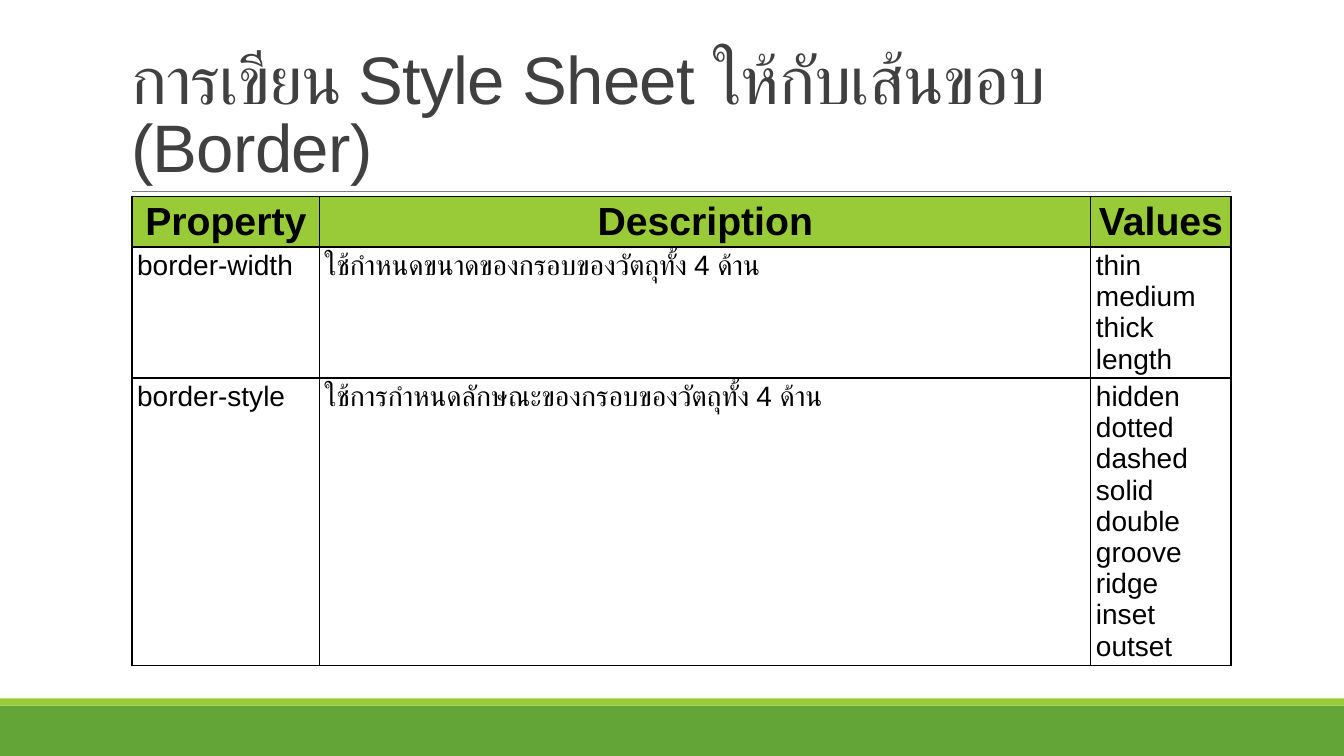
import pptx
import pptx.util
import pptx.dml.color
import pptx.enum.shapes
import pptx.enum.text
import pptx.oxml
import pptx.oxml.ns
from pptx.util import Inches

COLORS = {"band": "63A537", "accent": "99CB38", "rule": "808080",
          "title": "404040", "ink": "000000"}
FONT = "Arial"
TITLE = "การเขียน Style Sheet ให้กับเส้นขอบ (Border)"
HEADINGS = ["Property", "Description", "Values"]
PROPERTIES = [
    ["border-width", "ใช้กำหนดขนาดของกรอบของวัตถุทั้ง 4 ด้าน",
     "thin medium thick length".split()],
    ["border-style", "ใช้การกำหนดลักษณะของกรอบของวัตถุทั้ง 4 ด้าน",
     "hidden dotted dashed solid double groove ridge inset outset".split()],
]
COLUMN_WIDTHS = [1.86, 7.65, 1.39]
ROW_HEIGHTS = [0.5, 1.29, 2.85]


def rgb(name):
    """Return the named colour."""
    return pptx.dml.color.RGBColor.from_string(COLORS[name])


def add_run(paragraph, text, size, color, bold=False):
    """Append one formatted run and return it."""
    run = paragraph.add_run()
    run.text = text
    run.font.name = FONT
    run.font.size = pptx.util.Pt(size)
    run.font.bold = bold
    run.font.color.rgb = rgb(color)
    return run


def add_band(slide, box, color):
    """Add a plain filled rectangle."""
    band = slide.shapes.add_shape(
        pptx.enum.shapes.MSO_SHAPE.RECTANGLE, *map(Inches, box))
    band.shadow.inherit = False
    band.fill.solid()
    band.fill.fore_color.rgb = rgb(color)
    band.line.fill.background()


def add_footer(slide, box):
    """Add the footer band topped by its accent stripe."""
    left, top, width, height = box
    stripe = 0.07
    add_band(slide, (left, top + stripe, width, height - stripe), "band")
    add_band(slide, (left, top, width, stripe), "accent")


def add_title(slide, box):
    """Place the title in its box with a rule along the bottom."""
    left, top, width, height = box
    title = slide.shapes.title
    title.left, title.top, title.width, title.height = map(Inches, box)
    frame = title.text_frame
    frame.word_wrap = True
    frame.auto_size = pptx.enum.text.MSO_AUTO_SIZE.NONE
    frame.vertical_anchor = pptx.enum.text.MSO_ANCHOR.BOTTOM
    heading = frame.paragraphs[0]
    heading.alignment = pptx.enum.text.PP_ALIGN.LEFT
    heading.line_spacing = 0.85
    run = add_run(heading, TITLE, 48, "title")
    run.font._element.set("spc", "-50")

    bottom = Inches(top + height)
    rule = slide.shapes.add_connector(
        pptx.enum.shapes.MSO_CONNECTOR.STRAIGHT,
        Inches(left + 0.11), bottom, Inches(left + width + 0.01), bottom)
    rule.line.color.rgb = rgb("rule")
    rule.line.width = pptx.util.Pt(0.5)
    rule._element.spPr.append(pptx.oxml.parse_xml(
        "<a:effectLst %s/>" % pptx.oxml.ns.nsdecls("a")))


def add_borders(cell):
    """Draw a one-point line on all four sides of a cell."""
    properties = cell._tc.get_or_add_tcPr()
    for position, side in enumerate(("lnL", "lnR", "lnT", "lnB")):
        properties.insert(position, pptx.oxml.parse_xml(
            '<a:%s %s w="12700"><a:solidFill><a:srgbClr val="%s"/></a:solidFill></a:%s>'
            % (side, pptx.oxml.ns.nsdecls("a"), COLORS["ink"], side)))


def fill_cell(cell, lines, is_heading):
    """Format one cell and write its lines."""
    cell.margin_left = cell.margin_right = Inches(0.05)
    cell.margin_top = cell.margin_bottom = Inches(0.03)
    paragraph = cell.text_frame.paragraphs[0]
    if is_heading:
        cell.fill.solid()
        cell.fill.fore_color.rgb = rgb("accent")
        cell.vertical_anchor = pptx.enum.text.MSO_ANCHOR.MIDDLE
        paragraph.alignment = pptx.enum.text.PP_ALIGN.CENTER
    else:
        cell.fill.background()
    add_borders(cell)
    for index, line in enumerate(lines):
        if index:
            paragraph.add_line_break()
        add_run(paragraph, line, 28 if is_heading else 20, "ink", is_heading)
    for line_break in paragraph._p.findall(pptx.oxml.ns.qn("a:br")):
        line_break.append(pptx.oxml.parse_xml(
            '<a:rPr %s sz="2000"/>' % pptx.oxml.ns.nsdecls("a")))


def add_property_table(slide, box):
    """Add the table of border properties."""
    rows = [HEADINGS] + PROPERTIES
    table = slide.shapes.add_table(
        len(rows), len(HEADINGS), *map(Inches, box)).table
    table.horz_banding = False
    for column, width in zip(table.columns, COLUMN_WIDTHS):
        column.width = Inches(width)
    for row_index, (row, height) in enumerate(zip(rows, ROW_HEIGHTS)):
        table.rows[row_index].height = Inches(height)
        for column_index, content in enumerate(row):
            lines = content if isinstance(content, list) else [content]
            fill_cell(table.cell(row_index, column_index), lines, row_index == 0)


def build_border_slide(deck):
    """Build the slide on styling borders."""
    slide = deck.slides.add_slide(deck.slide_layouts[5])
    add_footer(slide, (0, 6.93, 13.33, 0.57))
    add_title(slide, (1.2, 0.31, 11, 1.59))
    add_property_table(
        slide, (1.31, 1.95, sum(COLUMN_WIDTHS), sum(ROW_HEIGHTS)))


deck = pptx.Presentation()
deck.slide_width, deck.slide_height = Inches(13.33), Inches(7.5)
build_border_slide(deck)
deck.save("out.pptx")
